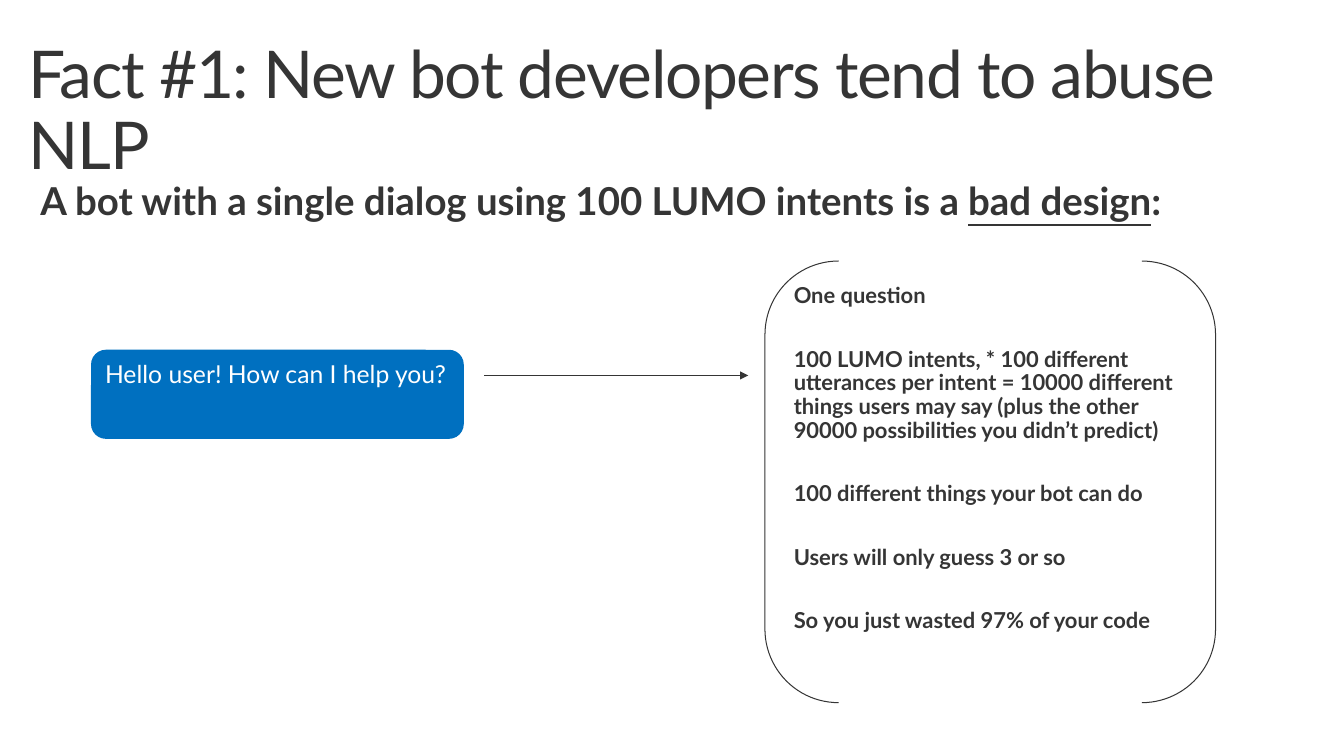
from dataclasses import dataclass

from lxml.etree import SubElement
from pptx import Presentation
from pptx.dml.color import RGBColor
from pptx.enum.shapes import MSO_CONNECTOR, MSO_SHAPE
from pptx.enum.text import MSO_ANCHOR, PP_ALIGN
from pptx.oxml.ns import qn
from pptx.util import Cm, Pt


@dataclass(frozen=True)
class Theme:
    font: str = "Lato"
    ink: RGBColor = RGBColor(0x35, 0x35, 0x35)
    bubble: RGBColor = RGBColor(0x00, 0x70, 0xC0)
    on_bubble: RGBColor = RGBColor(0xFF, 0xFF, 0xFF)
    title_size: Pt = Pt(48)
    claim_size: Pt = Pt(28)
    greeting_size: Pt = Pt(18)
    reason_size: Pt = Pt(16)
    line_width: Pt = Pt(0.75)


theme = Theme()


def set_insets(frame, side, top):
    frame.word_wrap = True
    frame.vertical_anchor = MSO_ANCHOR.TOP
    frame.margin_left = frame.margin_right = Cm(side)
    frame.margin_top = frame.margin_bottom = Cm(top)


def style(paragraph, size, color=theme.ink, bold=False, line_spacing=0.9):
    paragraph.alignment = PP_ALIGN.LEFT
    paragraph.line_spacing = line_spacing
    font = paragraph.font
    font.name, font.size, font.bold = theme.font, size, bold
    font.color.rgb = color


prs = Presentation()
prs.slide_width, prs.slide_height = Cm(34.54), Cm(19.43)
slide = prs.slides.add_slide(prs.slide_layouts[6])
shapes = slide.shapes

# Title, set slightly tight
title = shapes.add_textbox(Cm(0.33), Cm(0.81), Cm(33.02), Cm(2.54)).text_frame
set_insets(title, 0.41, 0.25)
title_run = title.paragraphs[0].add_run()
title_run.text = "Fact #1: New bot developers tend to abuse NLP"
title_run.font._element.set("spc", "-100")
style(title.paragraphs[0], theme.title_size)

# Claim with its underlined verdict
claim = shapes.add_textbox(Cm(0.53), Cm(4.27), Cm(32.13), Cm(1.9)).text_frame
set_insets(claim, 0.51, 0.41)
for words, underlined in (
    ("A bot with a single dialog using 100 LUMO intents is a ", False),
    ("bad design", True),
    (":", False),
):
    claim_run = claim.paragraphs[0].add_run()
    claim_run.text = words
    claim_run.font.underline = underlined
style(claim.paragraphs[0], theme.claim_size, bold=True)

# Bot greeting
greeting = shapes.add_shape(
    MSO_SHAPE.ROUNDED_RECTANGLE, Cm(2.34), Cm(8.99), Cm(9.58), Cm(2.29))
greeting.shadow.inherit = False
greeting.fill.solid()
greeting.fill.fore_color.rgb = theme.bubble
greeting.line.fill.background()
set_insets(greeting.text_frame, 0.25, 0.13)
greeting.text_frame.text = "Hello user! How can I help you?"
style(greeting.text_frame.paragraphs[0], theme.greeting_size,
      theme.on_bubble, line_spacing=1.0)

# Arrow from the greeting to the reasons
arrow = shapes.add_connector(
    MSO_CONNECTOR.STRAIGHT, Cm(12.45), Cm(9.65), Cm(19.23), Cm(9.65))
arrow.line.color.rgb = theme.ink
arrow.line.width = theme.line_width
SubElement(arrow.line._get_or_add_ln(), qn("a:tailEnd"), type="triangle")
SubElement(arrow._element.spPr, qn("a:effectLst"))

# Reasons
reasons = shapes.add_textbox(Cm(19.89), Cm(6.91), Cm(11.38), Cm(9.91)).text_frame
set_insets(reasons, 0.51, 0.41)
reasons.text = "\n".join((
    "One question",
    "100 LUMO intents, * 100 different utterances per intent = 10000 different "
    "things users may say (plus the other 90000 possibilities you didn’t predict)",
    "100 different things your bot can do",
    "Users will only guess 3 or so",
    "So you just wasted 97% of your code",
))
for reason in reasons.paragraphs:
    style(reason, theme.reason_size, bold=True)
    reason.space_after = Pt(29)

# Brackets around the reasons
brackets = shapes.add_shape(
    MSO_SHAPE.DOUBLE_BRACKET, Cm(19.66), Cm(6.71), Cm(11.58), Cm(11.35))
brackets.shadow.inherit = False
brackets.fill.background()
brackets.line.color.rgb = theme.ink
brackets.line.width = theme.line_width

prs.save("out.pptx")
